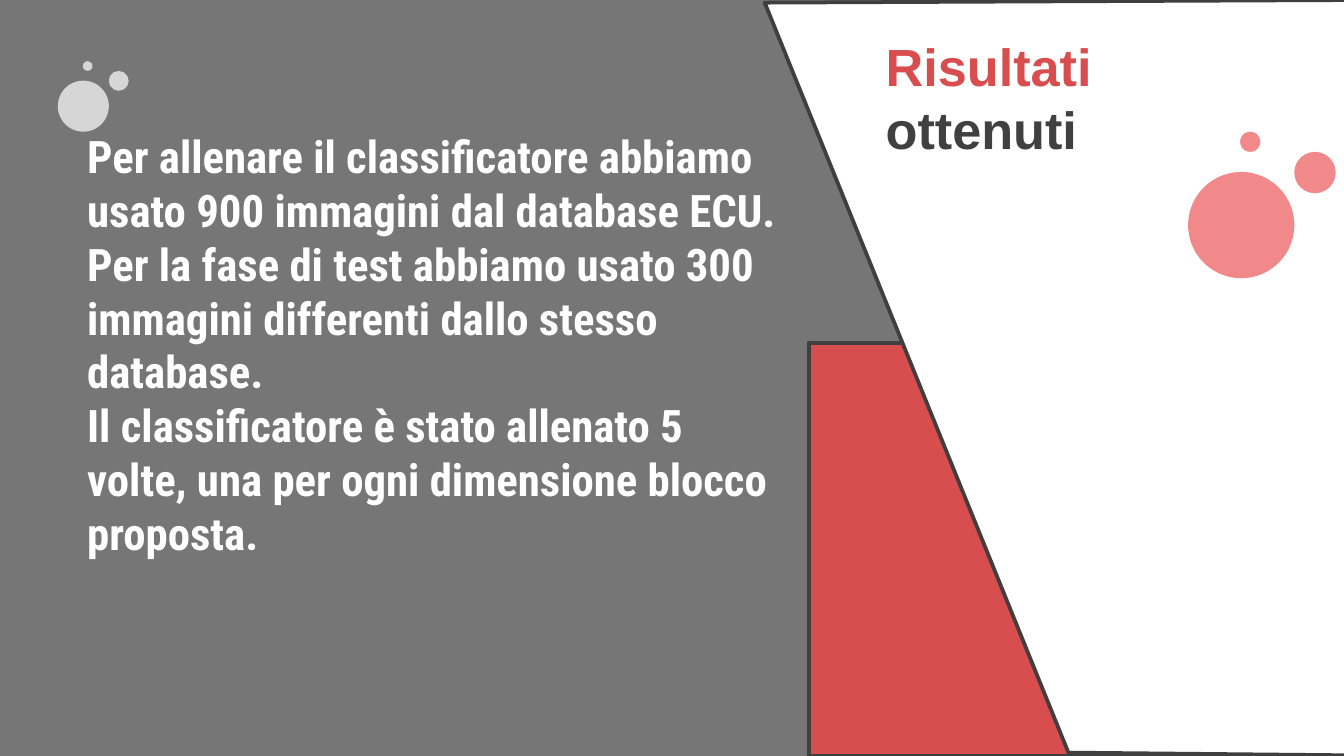
from lxml.etree import SubElement
from pptx import Presentation
from pptx.dml.color import RGBColor
from pptx.enum.shapes import MSO_SHAPE
from pptx.enum.text import MSO_ANCHOR, MSO_AUTO_SIZE, PP_ALIGN
from pptx.oxml.ns import qn
from pptx.util import Inches, Pt

COLORS = {
    "veil": "3C3C3C",
    "outline": "3F3F3F",
    "red": "D84D4E",
    "bubble_red": "EB494B",
    "dark": "404040",
    "white": "FFFFFF",
}


def paint(shape, color, opacity=100, outlined=False):
    """Fill a shape, with an optional opacity in percent and a dark outline."""
    shape.shadow.inherit = False
    shape.fill.solid()
    shape.fill.fore_color.rgb = RGBColor.from_string(COLORS[color])
    if opacity < 100:
        tint = shape.fill._xPr.find(qn("a:solidFill"))[0]
        SubElement(tint, qn("a:alpha"), val=str(opacity * 1000))
    if outlined:
        shape.line.color.rgb = RGBColor.from_string(COLORS["outline"])
        shape.line.width = Pt(2)
    else:
        shape.line.fill.background()


def write(shape, paragraphs, size, font):
    """Write paragraphs, each a list of (text, color) runs, in bold."""
    frame = shape.text_frame
    frame.word_wrap = True
    frame.auto_size = MSO_AUTO_SIZE.NONE
    frame.vertical_anchor = MSO_ANCHOR.MIDDLE
    for index, runs in enumerate(paragraphs):
        paragraph = frame.add_paragraph() if index else frame.paragraphs[0]
        paragraph.alignment = PP_ALIGN.LEFT
        for text, color in runs:
            run = paragraph.add_run()
            run.text = text
            run.font.size = Pt(size)
            run.font.name = font
            run.font.bold = True
            run.font.color.rgb = RGBColor.from_string(COLORS[color])


prs = Presentation()
prs.slide_width = Inches(10)
prs.slide_height = prs.slide_width * 9 // 16
slide = prs.slides.add_slide(prs.slide_layouts[5])
shapes = slide.shapes

# Background panels
veil = shapes.add_shape(
    MSO_SHAPE.RECTANGLE, Inches(-0.02), 0, Inches(10.02), prs.slide_height
)
paint(veil, "veil", opacity=70)
panel_top = Inches(2.55)
red_panel = shapes.add_shape(
    MSO_SHAPE.RECTANGLE, Inches(6.02), panel_top, Inches(3.98), prs.slide_height - panel_top
)
paint(red_panel, "red", outlined=True)

corners = [(7.95, 5.6), (5.69, 0.02), (10.12, 0), (10.05, 5.62)]
points = [(Inches(x), Inches(y)) for x, y in corners]
builder = shapes.build_freeform(*points[0], scale=1.0)
builder.add_line_segments(points[1:], close=True)
paint(builder.convert_to_shape(), "white", outlined=True)

# Bubble clusters: offsets and diameters are relative to the large bubble
BUBBLES = [(0, 0, 1), (1, -0.19, 0.39), (0.49, -0.38, 0.19)]
CLUSTERS = [(0.43, 0.6, 0.38, "white", 70), (8.84, 1.28, 0.79, "bubble_red", 65)]
for left, top, diameter, color, opacity in CLUSTERS:
    cluster = shapes.add_group_shape()
    for dx, dy, ratio in BUBBLES:
        side = Inches(diameter * ratio)
        bubble = cluster.shapes.add_shape(
            MSO_SHAPE.OVAL,
            Inches(left + dx * diameter), Inches(top + dy * diameter), side, side,
        )
        paint(bubble, color, opacity)

# Text
body = shapes.add_textbox(Inches(0.55), Inches(1.3), Inches(5.35), Inches(2.52))
write(
    body,
    [
        [("Per allenare il classificatore abbiamo usato 900 immagini dal database ECU. "
          "Per la fase di test abbiamo usato 300 immagini differenti dallo stesso database.",
          "white")],
        [("Il classificatore è stato allenato 5 volte, una per ogni dimensione blocco proposta.",
          "white")],
    ],
    size=24, font="Roboto Condensed",
)

title = shapes.title
title.left, title.top = Inches(6.49), Inches(0.2)
title.width, title.height = Inches(3.07), Inches(1.04)
write(title, [[("Risultati ", "red"), ("ottenuti", "dark")]], size=28, font="Arial")
shapes._spTree.append(title._element)  # bring the title in front of the panels

prs.save("out.pptx")
